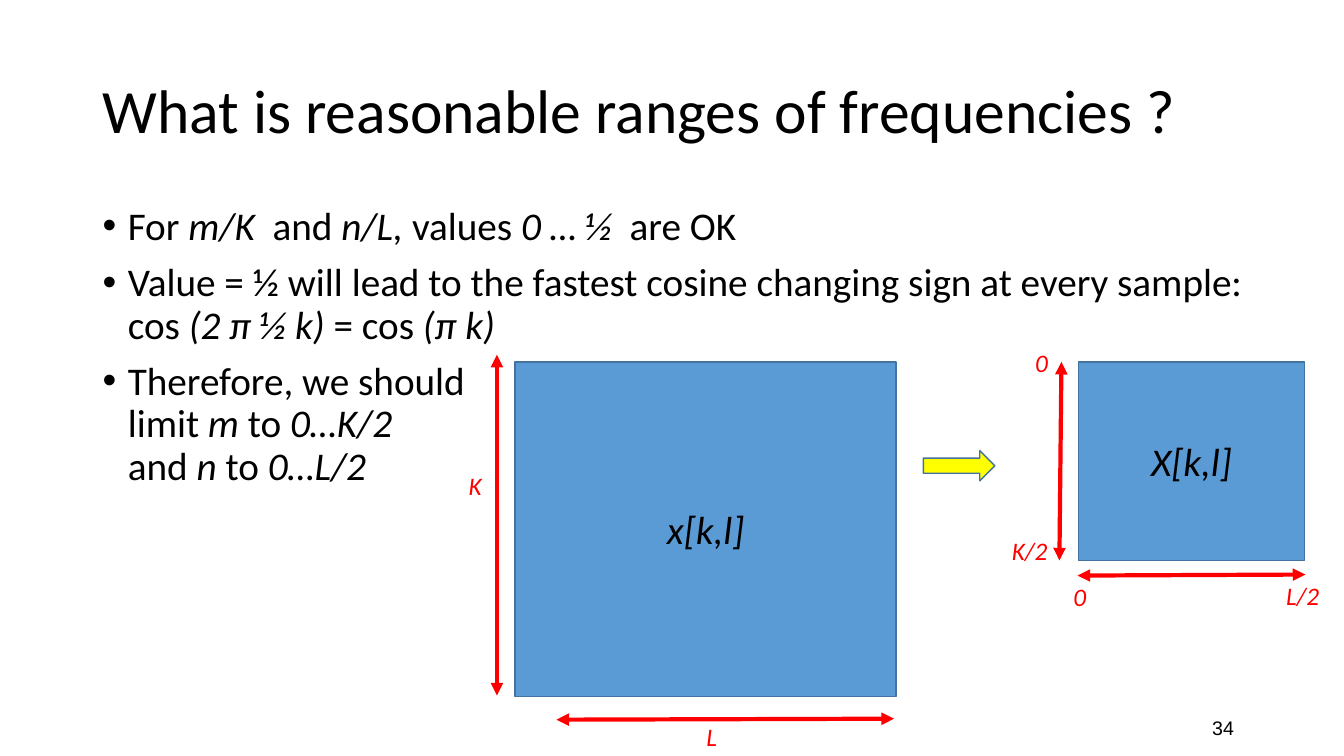
"""Build a slide on reasonable frequency ranges, laid out on a grid of 0.1 inch cells."""
from lxml import etree
from pptx import Presentation
from pptx.dml.color import RGBColor
from pptx.enum.shapes import MSO_CONNECTOR, MSO_SHAPE
from pptx.enum.text import MSO_ANCHOR, PP_ALIGN
from pptx.oxml.ns import qn
from pptx.util import Inches, Pt

CELL = Inches(0.1)
COLUMNS, ROWS = 133.33, 75
BLANK_LAYOUT = 6
COLORS = {"text": "000000", "measure": "FF0000", "block": "5B9BD5",
          "outline": "43739E", "arrow": "FFFF00"}
STRAIGHT = MSO_CONNECTOR.STRAIGHT
RECTANGLE, RIGHT_ARROW = MSO_SHAPE.RECTANGLE, MSO_SHAPE.RIGHT_ARROW
TOP, MIDDLE = MSO_ANCHOR.TOP, MSO_ANCHOR.MIDDLE
LEFT, CENTER, RIGHT = PP_ALIGN.LEFT, PP_ALIGN.CENTER, PP_ALIGN.RIGHT

BULLETS = [
    "For *m/K * and *n/L, *values *0 … ½  *are OK",
    "Value = ½ will lead to the fastest cosine changing sign at every sample: "
    "cos *(2 π ½ k)* = cos *(π k)*",
    "Therefore, we should\nlimit *m* to *0…K/2*\nand *n* to *0…L/2*",
]
BLOCKS = [
    (RECTANGLE, (51.1, 35.9, 37.8, 33.2), "block", "x[k,l]"),
    (RIGHT_ARROW, (91.6, 44.7, 7.1, 3), "arrow", ""),
    (RECTANGLE, (107, 35.9, 22.4, 19.7), "block", "X[k,l]"),
]
MEASURES = [
    (49.3, 35.2, 49.3, 69),
    (88.7, 71.3, 55.2, 71.4),
    (105.3, 35.9, 105.1, 55.6),
    (106.9, 57.1, 129.5, 57),
]
LABELS = [
    ("K", 45.5, 46.2, 3.8), ("L", 69.1, 71.1, 3.8),
    ("K/2", 99.4, 52.6, 6.7), ("L/2", 126.6, 57.1, 6.7),
    ("0", 101.7, 34, 3.6), ("0", 105.5, 57.2, 3.6),
]


def cells(*counts):
    """Turn grid counts into lengths."""
    return [round(count * CELL) for count in counts]


def color(name):
    """Look up a named colour."""
    return RGBColor.from_string(COLORS[name])


def style(paragraph, size, ink="text", font_name="Calibri", italic=False, align=LEFT):
    """Set the alignment and font of a whole paragraph."""
    paragraph.alignment = align
    font = paragraph.font
    font.name, font.size = font_name, Pt(size)
    font.color.rgb = color(ink)
    if italic:
        font.italic = True


def add_text(slide, box, text, size, anchor=TOP, **look):
    """Add a wrapped text box with one paragraph."""
    frame = slide.shapes.add_textbox(*cells(*box)).text_frame
    frame.word_wrap = True
    frame.vertical_anchor = anchor
    paragraph = frame.paragraphs[0]
    paragraph.text = text
    style(paragraph, size, **look)
    return paragraph


def add_marked_runs(paragraph, text):
    """Add runs, with stars around italic parts and newlines as line breaks."""
    for index, part in enumerate(text.split("*")):
        for line_index, line in enumerate(part.split("\n")):
            if line_index:
                paragraph.add_line_break()
            if line:
                run = paragraph.add_run()
                run.text = line
                run.font.italic = index % 2 == 1


def add_bullets(slide, box, items):
    """Add a bulleted list with hanging indents."""
    frame = slide.shapes.add_textbox(*cells(*box)).text_frame
    frame.word_wrap = True
    for index, item in enumerate(items):
        paragraph = frame.add_paragraph() if index else frame.paragraphs[0]
        add_marked_runs(paragraph, item)
        paragraph.line_spacing = 0.9
        if index:
            paragraph.space_before = Pt(10)
        properties = paragraph._p.get_or_add_pPr()
        properties.set("marL", str(Inches(0.25)))
        properties.set("indent", str(-Inches(0.25)))
        etree.SubElement(properties, qn("a:buFont"), typeface="Arial")
        etree.SubElement(properties, qn("a:buChar"), char="•")
        style(paragraph, 28)


def add_block(slide, kind, box, fill, text):
    """Add an outlined shape with a centred italic caption."""
    shape = slide.shapes.add_shape(kind, *cells(*box))
    shape.shadow.inherit = False
    shape.fill.solid()
    shape.fill.fore_color.rgb = color(fill)
    shape.line.color.rgb = color("outline")
    shape.line.width = Pt(1)
    if text:
        shape.text_frame.vertical_anchor = MIDDLE
        paragraph = shape.text_frame.paragraphs[0]
        paragraph.text = text
        style(paragraph, 28, italic=True, align=CENTER)


def add_measure(slide, ends):
    """Add a measuring line with an arrowhead at both ends."""
    connector = slide.shapes.add_connector(STRAIGHT, *cells(*ends))
    connector.line.color.rgb = color("measure")
    connector.line.width = Pt(3)
    line = connector.line._get_or_add_ln()
    for end in ("a:headEnd", "a:tailEnd"):
        etree.SubElement(line, qn(end), type="triangle")
    etree.SubElement(connector._element.spPr, qn("a:effectLst"))


def main():
    """Build and save the slide."""
    presentation = Presentation()
    presentation.slide_width, presentation.slide_height = cells(COLUMNS, ROWS)
    slide = presentation.slides.add_slide(presentation.slide_layouts[BLANK_LAYOUT])
    title = add_text(slide, (9.2, 4, 115, 14.5),
                     "What is reasonable ranges of frequencies ?", 44, MIDDLE)
    title.line_spacing = 0.9
    add_bullets(slide, (9.2, 20, 115, 47.6), BULLETS)
    add_text(slide, (93.4, 70.2, 30, 4), "34", 14, MIDDLE,
             font_name="Arial", align=RIGHT)
    for block in BLOCKS:
        add_block(slide, *block)
    for ends in MEASURES:
        add_measure(slide, ends)
    for text, left, top, width in LABELS:
        add_text(slide, (left, top, width, 4), text, 18, ink="measure", italic=True)
    presentation.save("out.pptx")


if __name__ == "__main__":
    main()
